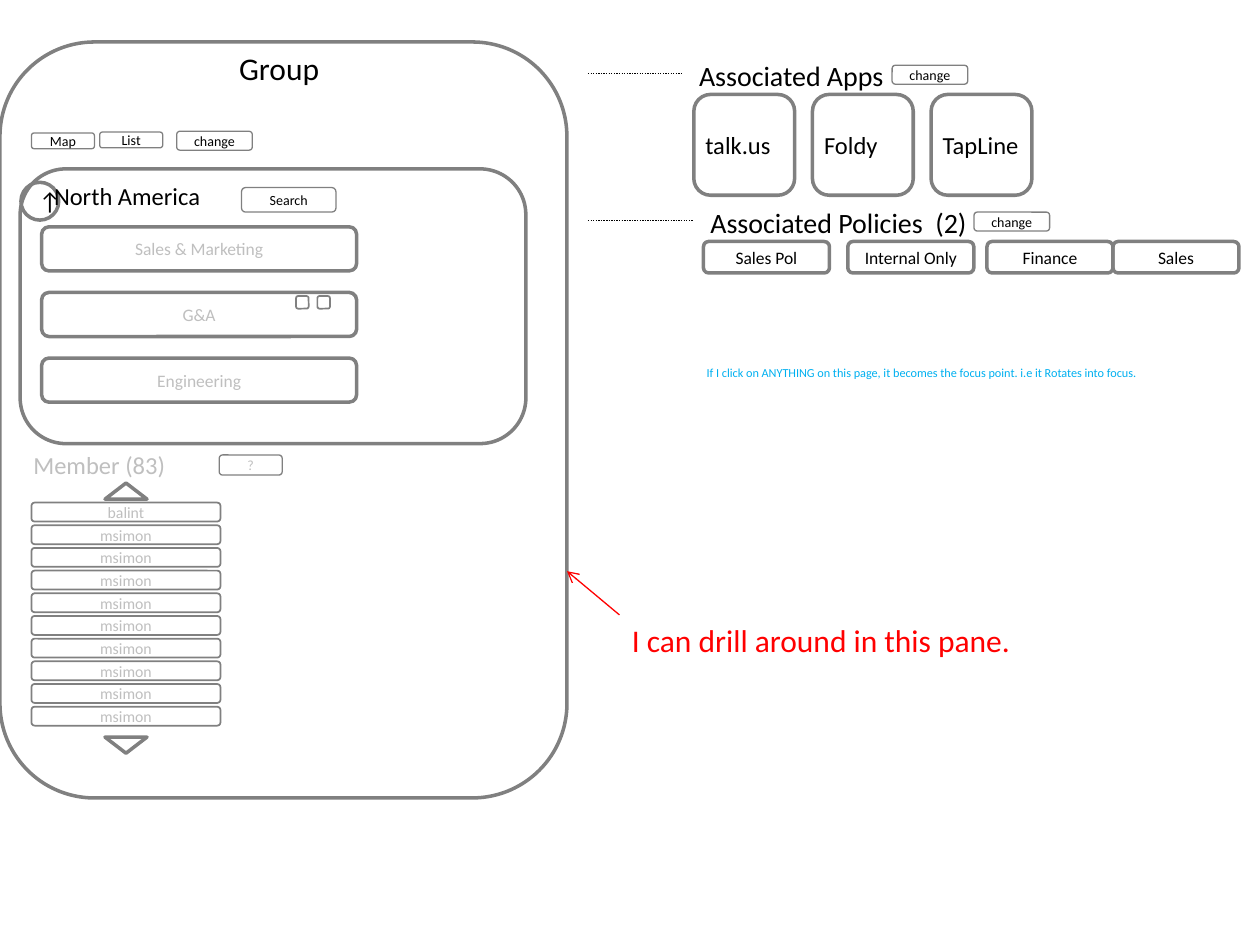
"""Build the group pane wireframe with its associated apps and policies."""
import dataclasses

import lxml.etree
import pptx
import pptx.dml.color
import pptx.enum.dml
import pptx.enum.shapes
import pptx.enum.text
import pptx.oxml.ns
import pptx.util


@dataclasses.dataclass(frozen=True)
class Theme:
    font: str = "Calibri"
    ink: str = "000000"
    outline: str = "808080"
    muted: str = "BFBFBF"
    accent: str = "FF0000"
    note: str = "00B0F0"
    title_size: float = 18
    heading_size: float = 16
    section_size: float = 14
    body_size: float = 10
    row_size: float = 9
    button_size: float = 8
    note_size: float = 7
    thick: float = 2
    medium: float = 1
    thin: float = 0.75


THEME = Theme()
Pt = pptx.util.Pt
PRESET = pptx.enum.shapes.MSO_SHAPE
ALIGN = pptx.enum.text.PP_ALIGN

TITLE = "Group"
PANE = (0, 24, 324, 432)
REGION_PANE = (11.5, 96.5, 289, 157)
DEPARTMENTS = ["Sales & Marketing", "G&A", "Engineering"]
MEMBERS = ["balint"] + ["msimon"] * 9
APPS = [("talk.us", 58), ("Foldy", 51), ("TapLine", 65)]
POLICIES = [("Sales Pol", 402), ("Internal Only", 484.5), ("Finance", 564), ("Sales", 636)]
BUTTONS = [
    ("Map", (18, 76, 36, 9), THEME.ink),
    ("List", (57, 75.5, 36, 9), THEME.ink),
    ("Search", (138, 107.2, 54, 14), THEME.ink),
    ("?", (125.3, 260, 36, 11.5), THEME.muted),
    ("change", (101, 75, 43.2, 10.8), THEME.ink),
    ("change", (509.8, 37.3, 43.2, 10.8), THEME.ink),
    ("change", (556.6, 121.2, 43.2, 10.8), THEME.ink),
]
LABELS = [
    ("Associated Apps", (392.4, 30.2, 121, 26.6), THEME.heading_size, THEME.ink),
    ("Associated Policies  (2)", (398.9, 113.8, 162.7, 26.6), THEME.heading_size, THEME.ink),
    ("North America", (23.8, 100.1, 98.6, 24.2), THEME.section_size, THEME.ink),
    ("Member (83)", (12, 253.6, 90.7, 24.2), THEME.section_size, THEME.muted),
    ("I can drill around in this pane.", (354, 351.4, 233.3, 29), THEME.title_size, THEME.accent),
    ("If I click on ANYTHING on this page, it becomes the focus point. i.e it Rotates into focus.",
     (396.7, 205.2, 264.2, 24.2), THEME.note_size, THEME.note),
]
LEADERS = [(336, 126, 390, 126), (336, 42, 390, 42), (342, 126, 396, 126)]
DRILL_ARROW = (354, 351.4, 324, 326.4)
SCROLL_ARROWS = [(276, 0), (421.2, 180)]
CHECKBOX_LEFTS = [169.2, 181.4]


def rgb(colour):
    return pptx.dml.color.RGBColor.from_string(colour)


def place(shape, box):
    shape.left, shape.top, shape.width, shape.height = map(Pt, box)


def write(shape, text, size, colour, alignment):
    shape.text_frame.text = text
    paragraph = shape.text_frame.paragraphs[0]
    paragraph.alignment = alignment
    font = paragraph.runs[0].font
    font.name, font.size, font.color.rgb = THEME.font, Pt(size), rgb(colour)


def add_outline(slide, box, width, preset=PRESET.ROUNDED_RECTANGLE, text="",
                size=THEME.body_size, colour=THEME.ink):
    shape = slide.shapes.add_shape(preset, *map(Pt, box))
    shape.shadow.inherit = False
    shape.fill.background()
    shape.line.color.rgb = rgb(THEME.outline)
    shape.line.width = Pt(width)
    if text:
        write(shape, text, size, colour, ALIGN.CENTER)
    return shape


def add_label(slide, text, box, size, colour):
    label = slide.shapes.add_textbox(*map(Pt, box))
    label.text_frame.word_wrap = False
    label.text_frame.auto_size = pptx.enum.text.MSO_AUTO_SIZE.SHAPE_TO_FIT_TEXT
    write(label, text, size, colour, ALIGN.LEFT)


def add_line(slide, ends, colour):
    line = slide.shapes.add_connector(
        pptx.enum.shapes.MSO_CONNECTOR.STRAIGHT, *map(Pt, ends))
    line.line.color.rgb = rgb(colour)
    line.line.width = Pt(THEME.thin)
    lxml.etree.SubElement(line._element.spPr, pptx.oxml.ns.qn("a:effectLst"))
    return line.line


def add_title(slide):
    title = slide.shapes.title
    place(title, (0, 24.5, 319, 29))
    title.text_frame.vertical_anchor = pptx.enum.text.MSO_ANCHOR.TOP
    title.text_frame.auto_size = pptx.enum.text.MSO_AUTO_SIZE.NONE
    write(title, TITLE, THEME.title_size, THEME.ink, ALIGN.CENTER)


def add_group_pane(slide):
    add_outline(slide, PANE, THEME.thick)
    add_outline(slide, REGION_PANE, THEME.thick)
    for index, department in enumerate(DEPARTMENTS):
        add_outline(slide, (23.8, 129.6 + 37.5 * index, 180, 25.2), THEME.thick,
                    text=department, colour=THEME.muted)
    for left in CHECKBOX_LEFTS:
        add_outline(slide, (left, 169.2, 7.2, 7.2), THEME.medium)
    for index, member in enumerate(MEMBERS):
        add_outline(slide, (18, 287.2 + 12.96 * index, 108, 10.8), THEME.medium,
                    text=member, size=THEME.row_size, colour=THEME.muted)
    for top, rotation in SCROLL_ARROWS:
        triangle = add_outline(slide, (60, top, 24, 9.2), THEME.thick,
                               PRESET.ISOSCELES_TRIANGLE)
        triangle.rotation = rotation
    add_outline(slide, (12, 104.2, 21.6, 21.6), THEME.thick, PRESET.OVAL,
                "↑", THEME.section_size)


def add_associations(slide):
    for index, (app, width) in enumerate(APPS):
        left = 396.5 + 67.8 * index
        add_outline(slide, (left, 54, 57.6, 57.6), THEME.thick)
        add_label(slide, app, (left - 0.5, 70.6, width, 24.2), THEME.section_size, THEME.ink)
    for policy, left in POLICIES:
        add_outline(slide, (left, 138, 72, 18), THEME.thick, text=policy)


def add_lines(slide):
    for ends in LEADERS:
        leader = add_line(slide, ends, THEME.ink)
        leader.dash_style = pptx.enum.dml.MSO_LINE.ROUND_DOT
    arrow = add_line(slide, DRILL_ARROW, THEME.accent)
    lxml.etree.SubElement(arrow._get_or_add_ln(), pptx.oxml.ns.qn("a:tailEnd"), type="arrow")


def main():
    presentation = pptx.Presentation()
    presentation.slide_width, presentation.slide_height = Pt(720), Pt(540)
    slide = presentation.slides.add_slide(presentation.slide_layouts[5])
    add_title(slide)
    add_group_pane(slide)
    add_associations(slide)
    for text, box, colour in BUTTONS:
        add_outline(slide, box, THEME.thin, text=text, size=THEME.button_size, colour=colour)
    for label in LABELS:
        add_label(slide, *label)
    add_lines(slide)
    presentation.save("out.pptx")


if __name__ == "__main__":
    main()
